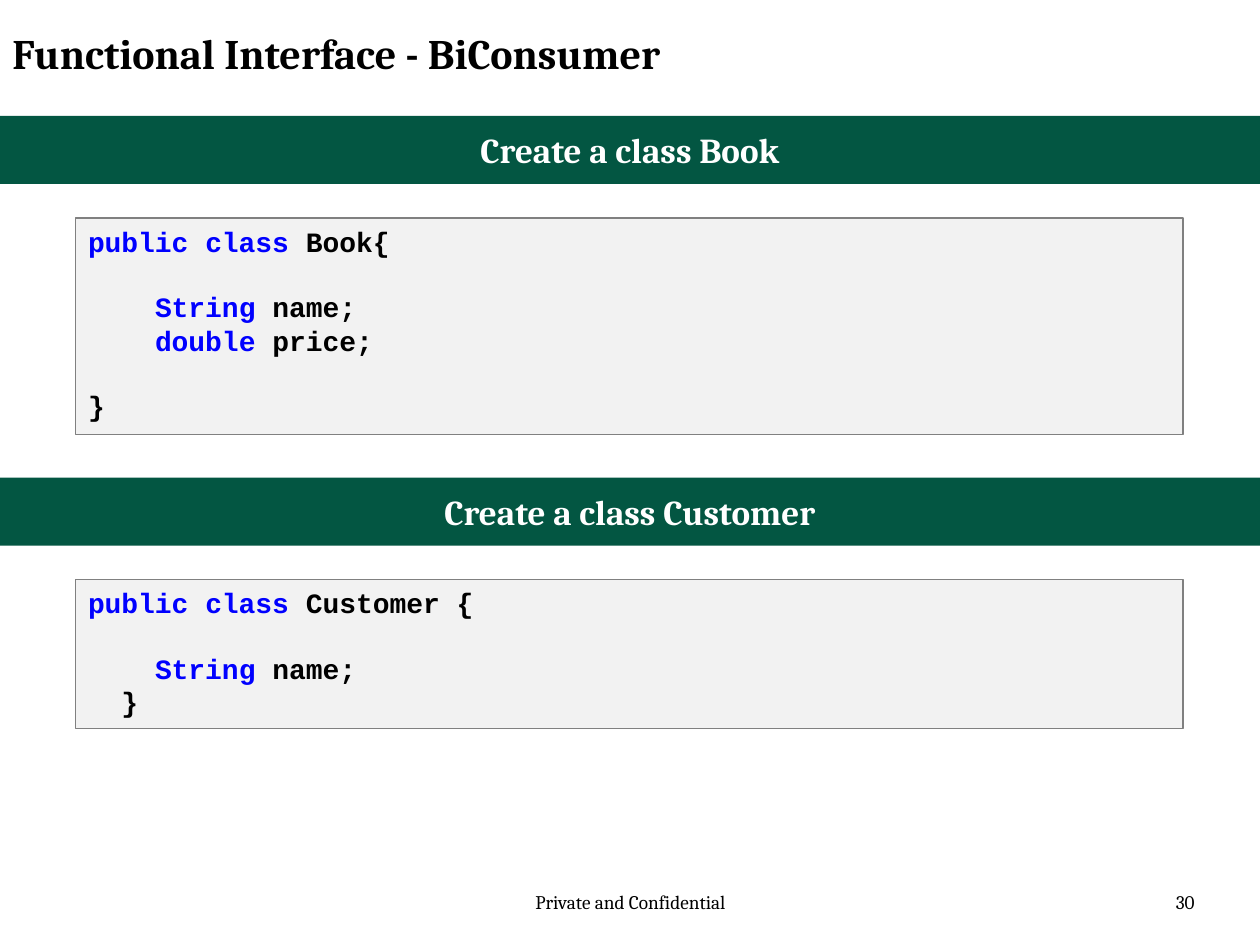
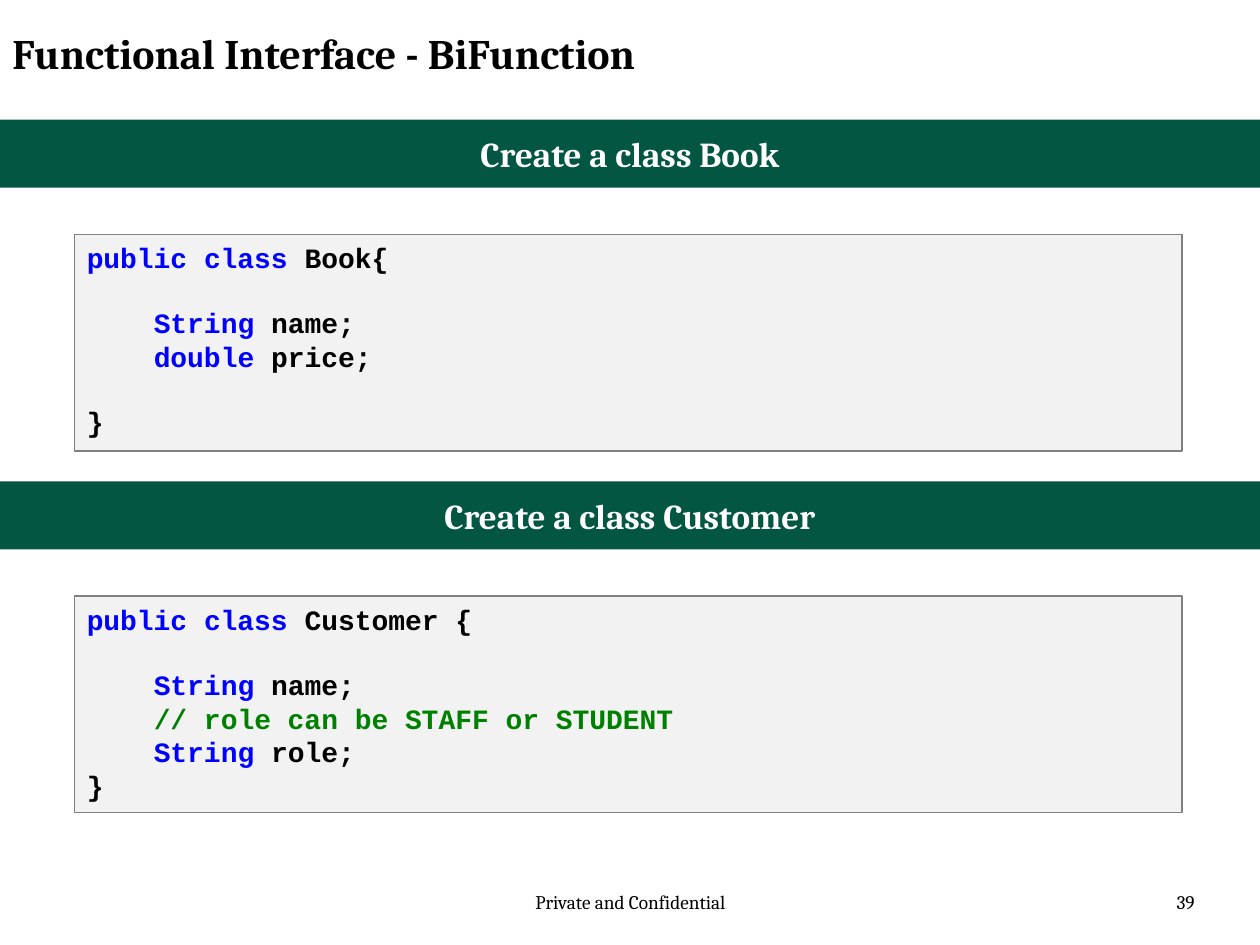
import pptx
import pptx.util
import pptx.dml.color
import pptx.enum.shapes
import pptx.enum.text

COLORS = {"band": "035642", "panel": "F2F2F2", "border": "808080", "white": "FFFFFF",
          "plain": "000000", "keyword": "0000FF", "comment": "008000"}
SERIF, MONO = "Cambria", "Courier New"
WIDTH, HEIGHT = 10, 7.5
BAND_HEIGHT, PANEL_WIDTH = 0.54, 8.79
SECTION_STEP = 2.87
CODE_LINE, CODE_MARGIN = 0.27, 0.1
CODE_SIZE, CODE_GAP = 16, 18.1
FOOTER = "Private and Confidential"


def declare(keyword, rest, indent="    "):
    return [("plain", indent), ("keyword", keyword), ("plain", rest)]


def header(rest):
    return declare("public class", rest, "")


def closing(indent=""):
    return [("plain", indent + "}")]


NAME = declare("String", " name;")
ROLE_NOTE = [("plain", "    "), ("comment", "// role can be STAFF or STUDENT")]

BOOK = [[header(" Book{")], [NAME, declare("double", " price;")], [closing()]]
CUSTOMER = [[header(" Customer {")], [NAME, closing("  ")]]
CUSTOMER_WITH_ROLE = [[header(" Customer {")],
                      [NAME, ROLE_NOTE, declare("String", " role;"), closing()]]

SLIDES = [
    {"title": "Functional Interface - BiConsumer", "number": "30",
     "band_top": 0.92, "panel_left": 0.6, "panel_offset": 0.81,
     "sections": [("Create a class Book", BOOK), ("Create a class Customer", CUSTOMER)]},
    {"title": "Functional Interface - BiFunction", "number": "39",
     "band_top": 0.95, "panel_left": 0.59, "panel_offset": 0.91,
     "sections": [("Create a class Book", BOOK),
                  ("Create a class Customer", CUSTOMER_WITH_ROLE)]},
]


def color(name):
    return pptx.dml.color.RGBColor.from_string(COLORS[name])


def inches(*lengths):
    return [pptx.util.Inches(length) for length in lengths]


def add_run(paragraph, text, size, font=SERIF, tint="plain", bold=False):
    run = paragraph.add_run()
    run.text = text
    run.font.name = font
    run.font.size = pptx.util.Pt(size)
    run.font.bold = bold
    run.font.color.rgb = color(tint)


def add_label(slide, box, text, size, align="LEFT", bold=False):
    frame = slide.shapes.add_textbox(*inches(*box)).text_frame
    frame.word_wrap = True
    paragraph = frame.paragraphs[0]
    paragraph.alignment = pptx.enum.text.PP_ALIGN[align]
    add_run(paragraph, text, size, bold=bold)


def add_box(slide, box, fill, border=None):
    shape = slide.shapes.add_shape(pptx.enum.shapes.MSO_SHAPE.RECTANGLE, *inches(*box))
    shape.shadow.inherit = False
    shape.fill.solid()
    shape.fill.fore_color.rgb = color(fill)
    if border:
        shape.line.color.rgb = color(border)
        shape.line.width = pptx.util.Pt(0.75)
    else:
        shape.line.fill.background()
    shape.text_frame.word_wrap = True
    return shape.text_frame


def add_band(slide, top, text):
    frame = add_box(slide, (0, top, WIDTH, BAND_HEIGHT), "band")
    frame.margin_top = frame.margin_bottom = pptx.util.Inches(0.1)
    frame.vertical_anchor = pptx.enum.text.MSO_ANCHOR.MIDDLE
    paragraph = frame.paragraphs[0]
    paragraph.alignment = pptx.enum.text.PP_ALIGN.CENTER
    add_run(paragraph, text, 20, tint="white", bold=True)


def add_code(slide, left, top, groups):
    rows = sum(len(group) for group in groups) + len(groups) - 1
    height = rows * CODE_LINE + CODE_MARGIN
    frame = add_box(slide, (left, top, PANEL_WIDTH, height), "panel", "border")
    frame.vertical_anchor = pptx.enum.text.MSO_ANCHOR.TOP
    paragraph = frame.paragraphs[0]
    for group_index, group in enumerate(groups):
        for line_index, line in enumerate(group):
            if group_index or line_index:
                paragraph = frame.add_paragraph()
            if group_index and not line_index:
                paragraph.space_before = pptx.util.Pt(CODE_GAP)
            paragraph.alignment = pptx.enum.text.PP_ALIGN.LEFT
            for tint, text in line:
                if text:
                    add_run(paragraph, text, CODE_SIZE, MONO, tint, True)


def build_slide(presentation, content):
    slide = presentation.slides.add_slide(presentation.slide_layouts[6])
    add_label(slide, (3.42, 7.02, 3.17, 0.4), FOOTER, 11, "CENTER")
    add_label(slide, (7.25, 7.02, 2.33, 0.4), content["number"], 11, "RIGHT")
    add_label(slide, (0, 0.17, 7.59, 0.62), content["title"], 24, bold=True)
    for index, (heading, code) in enumerate(content["sections"]):
        top = content["band_top"] + index * SECTION_STEP
        add_band(slide, top, heading)
        add_code(slide, content["panel_left"], top + content["panel_offset"], code)


def main():
    presentation = pptx.Presentation()
    presentation.slide_width, presentation.slide_height = inches(WIDTH, HEIGHT)
    for content in SLIDES:
        build_slide(presentation, content)
    presentation.save("out.pptx")


if __name__ == "__main__":
    main()
